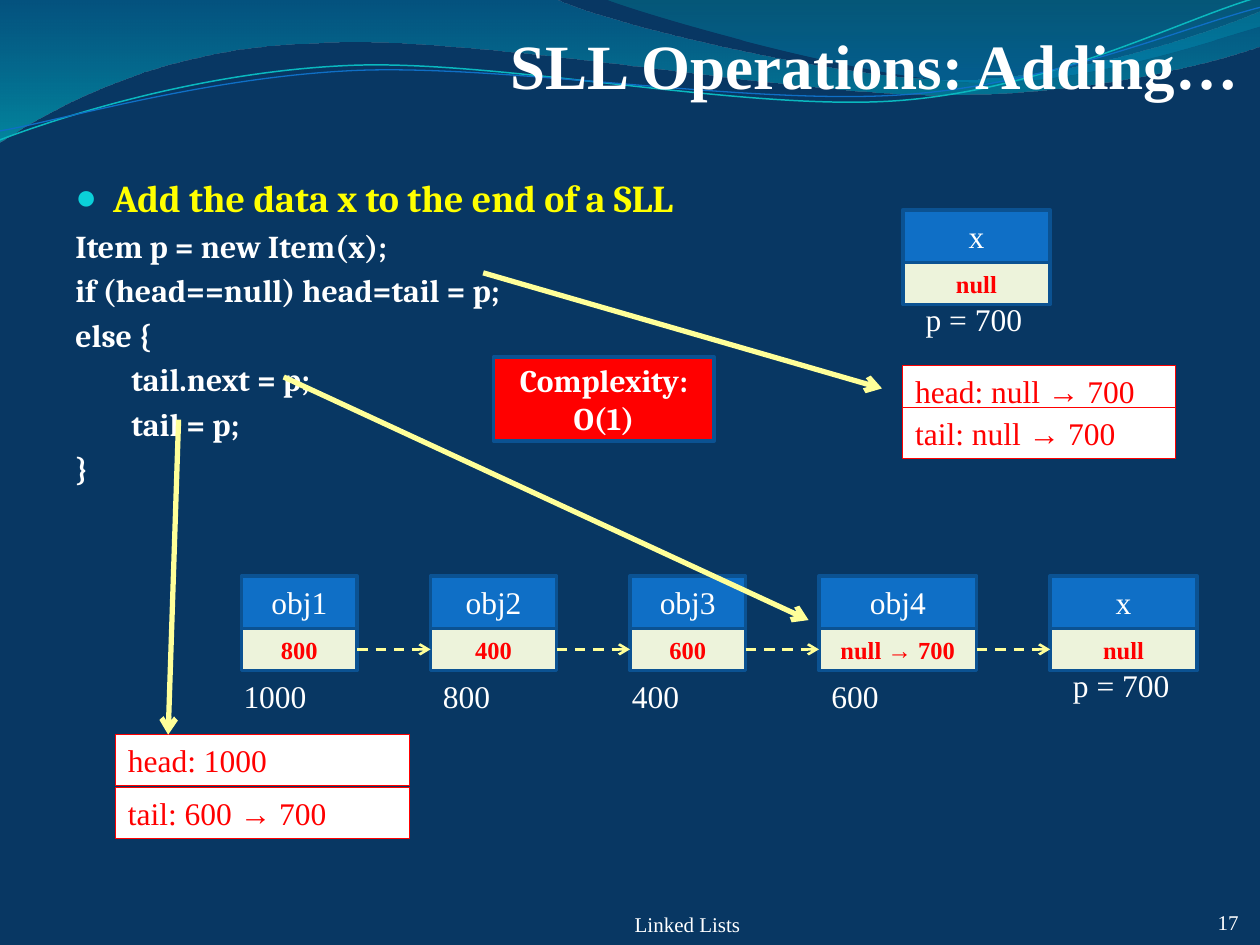
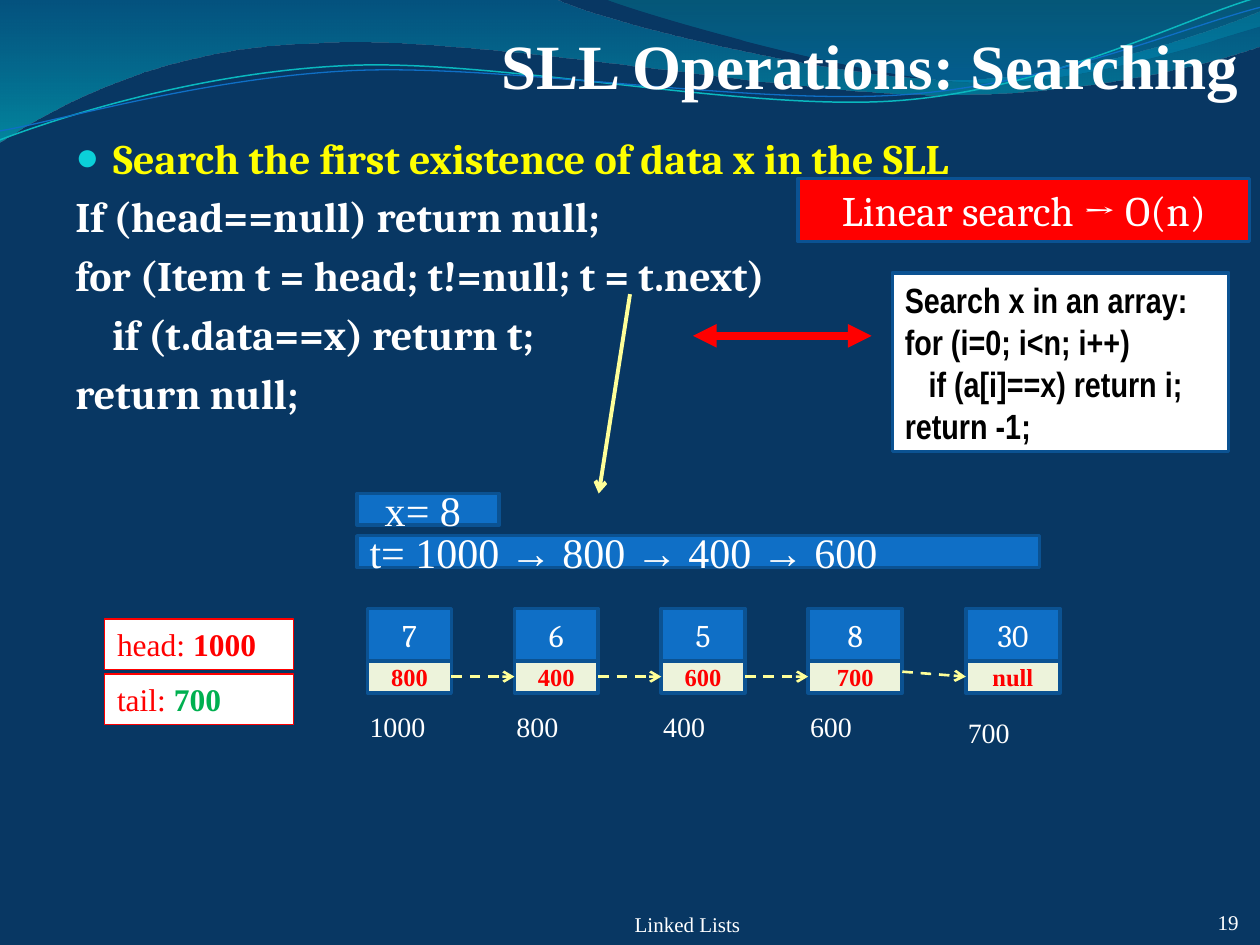
from dataclasses import dataclass, replace
from typing import NamedTuple

from lxml import etree
from pptx import Presentation
from pptx.dml.color import RGBColor
from pptx.enum import dml, shapes, text
from pptx.oxml.ns import qn
from pptx.util import Cm, Pt

# Colours
NAVY = RGBColor(0x08, 0x37, 0x63)
BLUE = RGBColor(0x0F, 0x6F, 0xC6)
EDGE = RGBColor(0x0B, 0x52, 0x92)
CREAM = RGBColor(0xED, 0xF3, 0xDB)
TEAL = RGBColor(0x0A, 0xB8, 0xBF)
CYAN = RGBColor(0x0B, 0xD0, 0xD9)
WHITE = RGBColor(0xFF, 0xFF, 0xFF)
BLACK = RGBColor(0, 0, 0)
RED = RGBColor(0xFF, 0, 0)
GREEN = RGBColor(0, 0xB0, 0x50)
YELLOW = RGBColor(0xFF, 0xFF, 0)
PALE = RGBColor(0xFF, 0xFF, 0x99)

# Fonts and places
TIMES, SERIF, NARROW = "Times New Roman", "Cambria", "Arial Narrow"
LEFT, MID, RIGHT = text.PP_ALIGN.LEFT, text.PP_ALIGN.CENTER, text.PP_ALIGN.RIGHT
TOP, CORE, BASE = text.MSO_ANCHOR.TOP, text.MSO_ANCHOR.MIDDLE, text.MSO_ANCHOR.BOTTOM
DATA_H, TAG_H, HANG = 1.06, 1.02, 0.76


@dataclass(frozen=True)
class Style:
    size: float = 18
    color: RGBColor = WHITE
    font: str = TIMES
    bold: bool = False
    align: text.PP_ALIGN = LEFT
    anchor: text.MSO_ANCHOR = TOP


class Area(NamedTuple):
    x: float
    y: float
    w: float
    h: float


class Row(NamedTuple):
    words: str
    indent: float = 0


@dataclass
class Node:
    x: float
    y: float
    w: float
    data: str
    ref: str
    addr: str
    dx: float = 0
    dy: float = 1.91


class Wave(NamedTuple):
    start: tuple
    steps: list  # one point is a straight step, three are a curve
    stops: tuple = ()  # position, colour, opacity
    color: RGBColor = TEAL
    width: float = 0.75


TITLE = Style(36, bold=True, align=RIGHT, anchor=BASE)
PLAIN = Style()
CENTER = Style(align=MID, anchor=CORE)
REF = Style(14, RED, bold=True, align=MID, anchor=CORE)
TAG = Style(color=RED)
CODE = Style(18.2, font=SERIF, bold=True)
FOOT = Style(12, align=MID, anchor=BASE)

WAVES = [
    Wave((0, 0), [
        [(11.18, -0.03)],
        [(12.09, 0.43), (16.87, 1.6), (19.25, 1.6)],
        [(21.67, 1.6), (24.33, 0.66), (25.4, 0.23)],
        [(25.43, 0.91)],
        [(24.97, 1.12), (22.1, 1.93), (18.95, 1.91)],
        [(15.8, 1.91), (9.7, 0.71), (6.53, 0.86)],
        [(3.28, 0.91), (1.17, 2.11), (-0.03, 2.87)],
        [(0, 0)]],
        ((0, RGBColor(0, 0x74, 0xA1), 45), (1, RGBColor(0, 0xC6, 0xCF), 55))),
    Wave((12.17, -0.03), [
        [(12.93, 0.28), (17.32, 1.57), (19.53, 1.65)],
        [(21.74, 1.75), (24.41, 0.81), (25.4, 0.53)],
        [(25.4, 0)],
        [(12.17, -0.03)]],
        ((0, RGBColor(0, 0xA1, 0xA9), 30), (0.8, RGBColor(0, 0x8B, 0xBF), 45))),
    Wave((0, 2.82), [
        [(1.22, 2.36), (4.01, 1.45), (7.04, 1.32)],
        [(10.03, 1.19), (15.06, 2.26), (18.11, 2.03)],
        [(21.16, 1.8), (23.83, 0.38), (25.35, -0.05)]], width=0.85),
    Wave((0, 2.64), [
        [(1.19, 2.44), (4.17, 1.55), (7.19, 1.42)],
        [(10.24, 1.3), (15.16, 2.13), (18.21, 1.91)],
        [(21.23, 1.7), (23.9, 0.53), (25.4, 0.15)]], color=BLUE),
]


def place(area: Area) -> list:
    return [Cm(v) for v in area]


def child(parent, tag: str, **attrs):
    return etree.SubElement(parent, qn(tag), **attrs)


def pen(para, style: Style) -> None:
    para.alignment = style.align
    font = para.font
    font.name, font.size, font.bold = style.font, Pt(style.size), style.bold
    font.color.rgb = style.color


def write(frame, rows: list, style: Style) -> None:
    frame.word_wrap = True
    frame.vertical_anchor = style.anchor
    for i, row in enumerate(rows):
        para = frame.add_paragraph() if i else frame.paragraphs[0]
        para.add_run().text = row.words
        if row.indent:
            para._p.get_or_add_pPr().set("marL", str(Cm(row.indent)))
        pen(para, style)


def inset(frame, top: float = 0) -> None:
    frame.margin_left = frame.margin_right = frame.margin_bottom = 0
    frame.margin_top = Cm(top)


def label(slide, area: Area, words: str, style: Style = PLAIN):
    frame = slide.shapes.add_textbox(*place(area)).text_frame
    write(frame, [Row(words)], style)
    return frame


def box(slide, area: Area, rows: list, style: Style = CENTER, fill: RGBColor = BLUE,
        edge: RGBColor = EDGE, width: float = 2):
    shape = slide.shapes.add_shape(shapes.MSO_SHAPE.RECTANGLE, *place(area))
    shape.shadow.inherit = False
    shape.fill.solid()
    shape.fill.fore_color.rgb = fill
    shape.line.color.rgb = edge
    shape.line.width = Pt(width)
    write(shape.text_frame, rows, style)
    return shape.text_frame


def tag(slide, x: float, y: float, w: float, words: str, value: str = "",
        color: RGBColor = RED) -> None:
    frame = box(slide, Area(x, y, w, TAG_H), [Row(words)], TAG, WHITE, RED, 0.75)
    if value:
        run = frame.paragraphs[0].add_run()
        run.text, run.font.bold = value, True
        run.font.color.rgb = color


def arrow(slide, start: tuple, end: tuple, width: float = 3, color: RGBColor = PALE,
          dash: bool = False, head: str = "", tail: str = "arrow") -> None:
    line = slide.shapes.add_connector(
        shapes.MSO_CONNECTOR.STRAIGHT, *[Cm(v) for v in start + end])
    line.line.color.rgb = color
    line.line.width = Pt(width)
    if dash:
        line.line.dash_style = dml.MSO_LINE.DASH
    props = line._element.spPr
    stroke = props.find(qn("a:ln"))
    if head:
        child(stroke, "a:headEnd", type=head)
    child(stroke, "a:tailEnd", type=tail)
    child(props, "a:effectLst")


def draw(slide, node: Node, ref_h: float, data: Style, addr: Style) -> None:
    box(slide, Area(node.x, node.y, node.w, DATA_H), [Row(node.data)], data)
    box(slide, Area(node.x, node.y + DATA_H, node.w, ref_h), [Row(node.ref)], REF, CREAM)
    label(slide, Area(node.x + node.dx, node.y + node.dy, 2.54, TAG_H), node.addr, addr)


def chain(slide, nodes: list, ref_h: float, y: float, data: Style, addr: Style,
          lift: float = 0) -> None:
    for node in nodes:
        draw(slide, node, ref_h, data, addr)
    for a, b in zip(nodes, nodes[1:]):
        rise = lift if b is nodes[-1] else 0
        arrow(slide, (a.x + a.w, y - rise), (b.x, y), 1.5, dash=True)


def bend(shape, steps: list) -> None:
    """Join each three straight steps of a curve into one Bezier step."""
    lines = iter(list(shape._element.iter(qn("a:lnTo"))))
    for step in steps:
        first, *rest = [next(lines) for _ in step]
        if rest:
            first.tag = qn("a:cubicBezTo")
            for line in rest:
                first.append(line[0])
                line.getparent().remove(line)


def ripple(slide, wave: Wave) -> None:
    pts = [(Cm(x), Cm(y)) for step in wave.steps for x, y in step]
    outline = slide.shapes.build_freeform(*[Cm(v) for v in wave.start])
    outline.add_line_segments(pts, close=bool(wave.stops))
    shape = outline.convert_to_shape()
    bend(shape, wave.steps)
    shape.shadow.inherit = False
    if not wave.stops:
        shape.fill.background()
        shape.line.color.rgb = wave.color
        shape.line.width = Pt(wave.width)
        return
    shape.line.fill.background()
    shape.fill.gradient()
    shape.fill.gradient_angle = 270
    for stop, (pos, color, _) in zip(shape.fill.gradient_stops, wave.stops):
        stop.position, stop.color.rgb = pos, color
    for clr, (_, _, alpha) in zip(shape._element.iter(qn("a:srgbClr")), wave.stops):
        child(clr, "a:alpha", val=str(alpha * 1000))


def page(deck, title: str, number: str):
    slide = deck.slides.add_slide(deck.slide_layouts[5])
    for wave in WAVES:
        ripple(slide, wave)
    head = slide.shapes.title
    head.left, head.top, head.width, head.height = place(Area(1.27, 0.2, 23.7, 1.85))
    write(head.text_frame, [Row(title)], TITLE)
    inset(head.text_frame, 0.13)
    # Bring the title in front of the waves
    slide.shapes._spTree.append(head._element)
    inset(label(slide, Area(23.5, 18.2, 1.47, 0.64), number, replace(FOOT, align=RIGHT)))
    inset(label(slide, Area(9.95, 18.2, 7.82, 0.68), "Linked Lists", FOOT))
    return slide


def body(slide, area: Area, lead: str, rows: list, big: float, size: float) -> None:
    frame = slide.shapes.add_textbox(*place(area)).text_frame
    write(frame, [Row(lead, HANG)] + rows, replace(CODE, size=size))
    for para in frame.paragraphs:
        para.space_before = Pt(round(size * 0.2, 1))
    first = frame.paragraphs[0]
    props = first._p.get_or_add_pPr()
    props.set("indent", str(-Cm(HANG)))
    font = props.find(qn("a:defRPr"))
    tint = child(props, "a:buClr")
    child(tint, "a:srgbClr", val=str(CYAN))
    child(props, "a:buSzPct", val="95000")
    child(props, "a:buFont", typeface=TIMES)
    child(props, "a:buChar", char="●")
    props.append(font)
    pen(first, replace(CODE, size=big, color=YELLOW))


def adding(deck) -> None:
    slide = page(deck, "SLL Operations: Adding…", "17")
    body(slide, Area(1.27, 3.39, 13.77, 6.15), "Add the data x to the end of a SLL", [
        Row("Item p = new Item(x);"), Row("if (head==null) head=tail = p;"),
        Row("else {"), Row("tail.next = p;", 1.13), Row("tail = p;", 1.13), Row("}")],
        21.7, 18.2)
    # List, new item and pointers
    y = 11.61
    chain(slide, [
        Node(4.87, y, 2.33, "obj1", "800", "1000", -0.21),
        Node(8.68, y, 2.54, "obj2", "400", "800"),
        Node(12.7, y, 2.33, "obj3", "600", "400", -0.21),
        Node(16.51, y, 3.18, "obj4", "null → 700", "600"),
        Node(21.17, y, 2.96, "x", "null", "p = 700", 0.21, 1.69)], 0.85, 13.09, CENTER, PLAIN)
    draw(slide, Node(18.2, 4.23, 2.97, "x", "null", "p = 700", 0.21, 1.69), 0.85, CENTER, PLAIN)
    tag(slide, 18.2, 7.37, 5.5, "head: null → 700")
    tag(slide, 18.2, 8.22, 5.5, "tail: null → 700")
    tag(slide, 2.33, 14.81, 5.93, "head: 1000")
    tag(slide, 2.33, 15.88, 5.93, "tail: 600 → 700")
    # Arrows from code to effect
    arrow(slide, (9.74, 5.5), (17.78, 7.83))
    arrow(slide, (5.72, 7.6), (16.3, 12.5))
    arrow(slide, (3.6, 8.46), (3.39, 14.81))
    box(slide, Area(9.95, 7.2, 4.45, 1.69), [Row("Complexity: O(1)")],
        replace(CENTER, font=SERIF, bold=True), RED)


def searching(deck) -> None:
    slide = page(deck, "SLL Operations: Searching", "19")
    body(slide, Area(1.27, 2.54, 22.43, 6.15), "Search the first existence of data x in the SLL", [
        Row("If (head==null) return null;"), Row("for (Item t = head; t!=null; t = t.next)"),
        Row("if (t.data==x) return t;", 0.74), Row("return null;")], 24, 24)
    # List and pointers
    items = [("7", "800", "1000", 1.69), ("6", "400", "800", 1.69),
             ("5", "600", "400", 1.69), ("8", "700", "600", 1.9)]
    nodes = [Node(7.41 + 2.96 * i, 12.27, w, data, ref, addr, -0.21)
             for i, (data, ref, addr, w) in enumerate(items)]
    nodes.append(Node(19.47, 12.27, 1.9, "30", "null", "700", -0.21, 2.03))
    chain(slide, nodes, 0.64, 13.64, replace(CENTER, font=SERIF), Style(16), 0.1)
    tag(slide, 2.11, 12.48, 3.81, "head: ", "1000")
    tag(slide, 2.11, 13.59, 3.81, "tail: ", "700", GREEN)
    # Cost and trace
    box(slide, Area(16.09, 3.6, 9.1, 1.27), [Row("Linear search → O(n)")],
        replace(CENTER, size=24, font=SERIF), RED)
    trace = replace(CENTER, size=24)
    box(slide, Area(7.2, 9.95, 2.86, 0.64), [Row("x= 8 ")], trace)
    box(slide, Area(7.2, 10.8, 13.76, 0.64), [Row("t= 1000 → 800 → 400 → 600")],
        replace(trace, align=LEFT))
    arrow(slide, (12.7, 5.93), (12.07, 9.95), 2.25)
    # Same search in an array
    box(slide, Area(17.99, 5.5, 6.78, 3.6), [
        Row("Search x in an array:"), Row("for (i=0; i<n; i++)"),
        Row("if (a[i]==x) return i;", 0.48), Row("return -1;")],
        Style(20, BLACK, NARROW, True, anchor=CORE), WHITE)
    arrow(slide, (13.97, 6.77), (17.57, 6.77), 4.5, RED, head="triangle", tail="triangle")


def main() -> None:
    deck = Presentation()
    deck.slide_width, deck.slide_height = Cm(25.4), Cm(19.05)
    back = deck.slide_master.background.fill
    back.solid()
    back.fore_color.rgb = NAVY
    adding(deck)
    searching(deck)
    deck.save("out.pptx")


if __name__ == "__main__":
    main()
